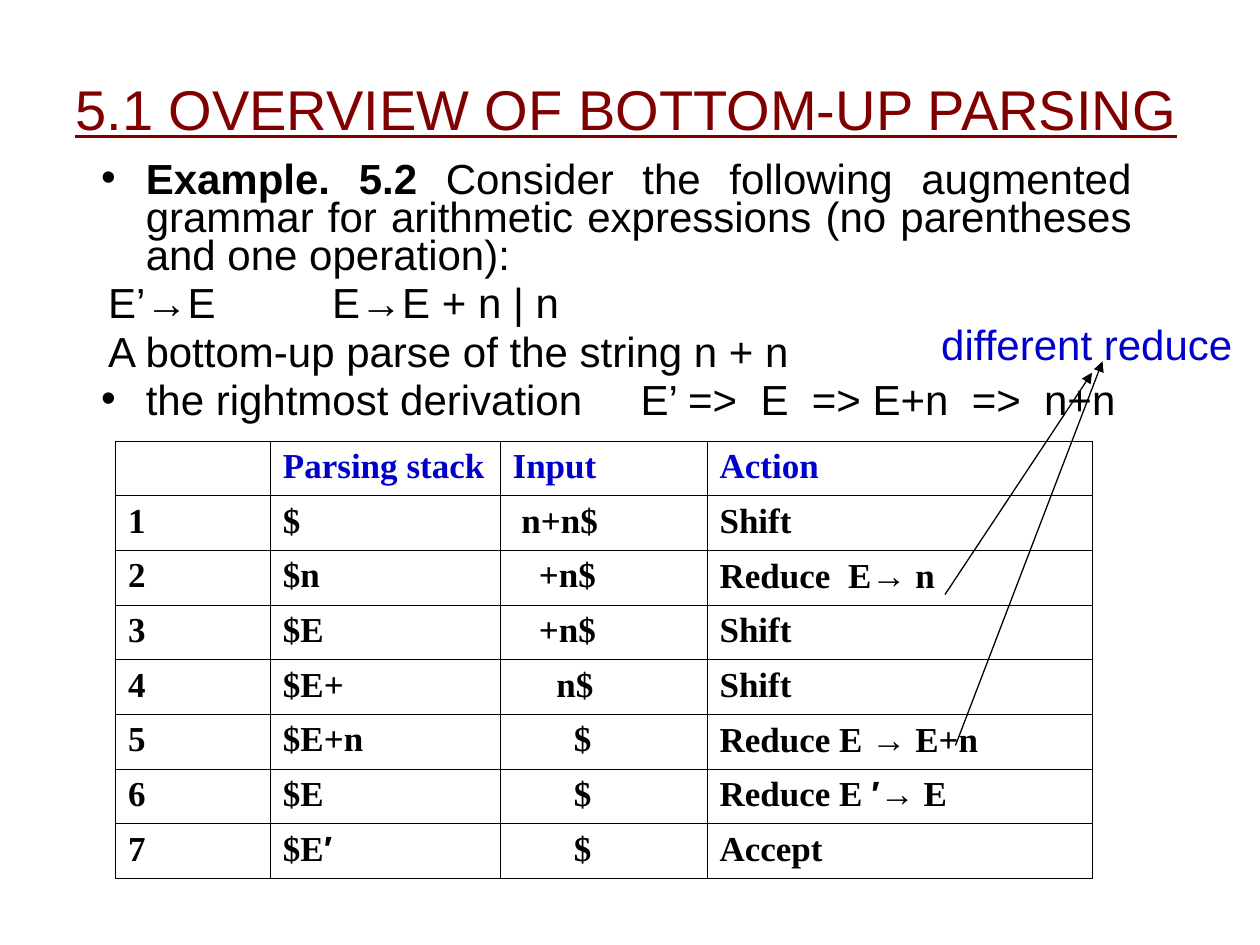
import itertools

import pptx
import pptx.util
import pptx.dml.color
import pptx.enum.shapes
import pptx.enum.text
import pptx.oxml
import pptx.oxml.ns
from lxml import etree

Pt = pptx.util.Pt
ALIGN = pptx.enum.text.PP_ALIGN
ANCHOR = pptx.enum.text.MSO_ANCHOR

COLORS = {"title": "800000", "text": "000000", "accent": "0000CC"}
SANS, SERIF = "Arial", "Times New Roman"
SYMBOLS = "→′"
WIDE_SPACE = "|"
CELL_SPACE = 5

TITLE = "5.1 OVERVIEW OF BOTTOM-UP PARSING"
NOTE = "different reduce"
BOLD = {"bold": True}
BULLET = {"marL": 34.5, "indent": -25.5}
PLAIN = {"marL": 0, "indent": 13}
WIDE, MIDDLE, DOUBLE = {"spc": 60}, {"spc": 26.67}, {"spc": 6.67}
BODY = [
    (BULLET, ALIGN.JUSTIFY, [
        ("Example. 5.2", BOLD),
        (" Consider the following augmented grammar for arithmetic expressions "
         "(no parentheses and one operation):", {})]),
    (PLAIN, ALIGN.JUSTIFY, [("E’→E", {}), (" ", WIDE), ("E→E + n | n", {})]),
    (PLAIN, ALIGN.LEFT, [("A bottom-up parse of the string n + n", {})]),
    (BULLET, ALIGN.JUSTIFY, [
        ("the rightmost derivation", {}), (" ", MIDDLE), ("E’ =>", {}),
        (" ", DOUBLE), ("E", {}), (" ", DOUBLE), ("=> E+n", {}),
        (" ", DOUBLE), ("=>", {}), (" ", DOUBLE), ("n+n", {})]),
]
HEADER = ["", "Parsing stack", "Input", "Action"]
STEPS = [
    ("$", "n+n$", 1, "Shift"),
    ("$n", "+n$", 3, "Reduce|E→ n"),
    ("$E", "+n$", 3, "Shift"),
    ("$E+", "n$", 5, "Shift"),
    ("$E+n", "$", 7, "Reduce E → E+n"),
    ("$E", "$", 7, "Reduce E ′→ E"),
    ("$E′", "$", 7, "Accept"),
]
COLUMN_WIDTHS = [88.5, 131.25, 118.25, 220]
ROW_HEIGHT = 31.25
ARROWS = [((540, 339.75), (624, 213)), ((546, 426), (630, 206.5))]


def add_run(paragraph, text, size, color, font=SANS, spc=0, **extra):
    run = paragraph.add_run()
    run.text = text
    formats = {"size": Pt(size), "name": font, "bold": False, **extra}
    for name, value in formats.items():
        setattr(run.font, name, value)
    run.font.color.rgb = pptx.dml.color.RGBColor.from_string(COLORS[color])
    if spc:
        run.font._element.set("spc", str(round(spc * 100)))


def set_indent(paragraph, indents):
    properties = paragraph._p.get_or_add_pPr()
    for name, value in indents.items():
        properties.set(name, str(int(Pt(value))))
    return properties


def add_text_frame(slide, left, top, width, height, **formats):
    frame = slide.shapes.add_textbox(Pt(left), Pt(top), Pt(width), Pt(height)).text_frame
    for name, value in {"word_wrap": True, **formats}.items():
        setattr(frame, name, value)
    return frame


def add_body(slide):
    frame = add_text_frame(slide, 41.75, 90.5, 612, 160)
    for index, (indents, alignment, runs) in enumerate(BODY):
        paragraph = frame.add_paragraph() if index else frame.paragraphs[0]
        formats = {"alignment": alignment, "line_spacing": 0.75,
                   "space_before": Pt(6 if index else 0)}
        for name, value in formats.items():
            setattr(paragraph, name, value)
        properties = set_indent(paragraph, indents)
        if indents is BULLET:
            etree.SubElement(properties, pptx.oxml.ns.qn("a:buFont"), typeface=SANS)
            etree.SubElement(properties, pptx.oxml.ns.qn("a:buChar"), char="•")
        for text, extra in runs:
            add_run(paragraph, text, 24, "text", **extra)


def letter_kind(letter):
    if letter == WIDE_SPACE:
        return "space"
    return "symbol" if letter in SYMBOLS else "word"


def add_cell_text(paragraph, text, color):
    for kind, letters in itertools.groupby(text, letter_kind):
        add_run(paragraph, " " if kind == "space" else "".join(letters), 20, color,
                SANS if kind == "symbol" else SERIF,
                CELL_SPACE if kind == "space" else 0, bold=True)


def add_borders(cell):
    properties = cell._tc.get_or_add_tcPr()
    for position, side in enumerate(("lnL", "lnR", "lnT", "lnB")):
        border = pptx.oxml.parse_xml(
            f'<a:{side} {pptx.oxml.ns.nsdecls("a")} w="{int(Pt(0.45))}"><a:solidFill>'
            f'<a:srgbClr val="{COLORS["text"]}"/></a:solidFill></a:{side}>')
        properties.insert(position, border)


def add_steps(slide):
    rows = [HEADER] + [[str(number), stack, rest, action]
                       for number, (stack, rest, _, action) in enumerate(STEPS, 1)]
    table = slide.shapes.add_table(
        len(rows), len(HEADER), Pt(66), Pt(252),
        Pt(sum(COLUMN_WIDTHS)), Pt(ROW_HEIGHT * len(rows))).table
    for column, width in zip(table.columns, COLUMN_WIDTHS):
        column.width = Pt(width)
    for row_index, texts in enumerate(rows):
        table.rows[row_index].height = Pt(ROW_HEIGHT)
        for column_index, text in enumerate(texts):
            cell = table.cell(row_index, column_index)
            cell.fill.background()
            add_borders(cell)
            paragraph = cell.text_frame.paragraphs[0]
            if row_index and column_index == 2:
                spaces = STEPS[row_index - 1][2]
                set_indent(paragraph, {"marL": spaces * CELL_SPACE, "indent": 0})
            add_cell_text(paragraph, text, "text" if row_index else "accent")


def add_arrow(slide, start, end):
    connector = slide.shapes.add_connector(
        pptx.enum.shapes.MSO_CONNECTOR.STRAIGHT, *map(Pt, start + end))
    connector.line.width = Pt(0.75)
    connector.line.color.rgb = pptx.dml.color.RGBColor.from_string(COLORS["text"])
    etree.SubElement(connector.line._get_or_add_ln(),
                     pptx.oxml.ns.qn("a:tailEnd"), type="triangle")
    etree.SubElement(connector._element.spPr, pptx.oxml.ns.qn("a:effectLst"))


def main():
    presentation = pptx.Presentation()
    presentation.slide_width, presentation.slide_height = Pt(720), Pt(540)
    slide = presentation.slides.add_slide(presentation.slide_layouts[6])

    title = add_text_frame(slide, 36, 12.25, 671.75, 99.25, vertical_anchor=ANCHOR.MIDDLE)
    add_run(title.paragraphs[0], TITLE, 32, "title", underline=True)
    add_body(slide)
    add_steps(slide)
    for start, end in ARROWS:
        add_arrow(slide, start, end)
    note = add_text_frame(slide, 526, 180, 190, 33,
                          word_wrap=False, vertical_anchor=ANCHOR.MIDDLE)
    note.paragraphs[0].alignment = ALIGN.CENTER
    add_run(note.paragraphs[0], NOTE, 24, "accent")

    presentation.save("out.pptx")


if __name__ == "__main__":
    main()
